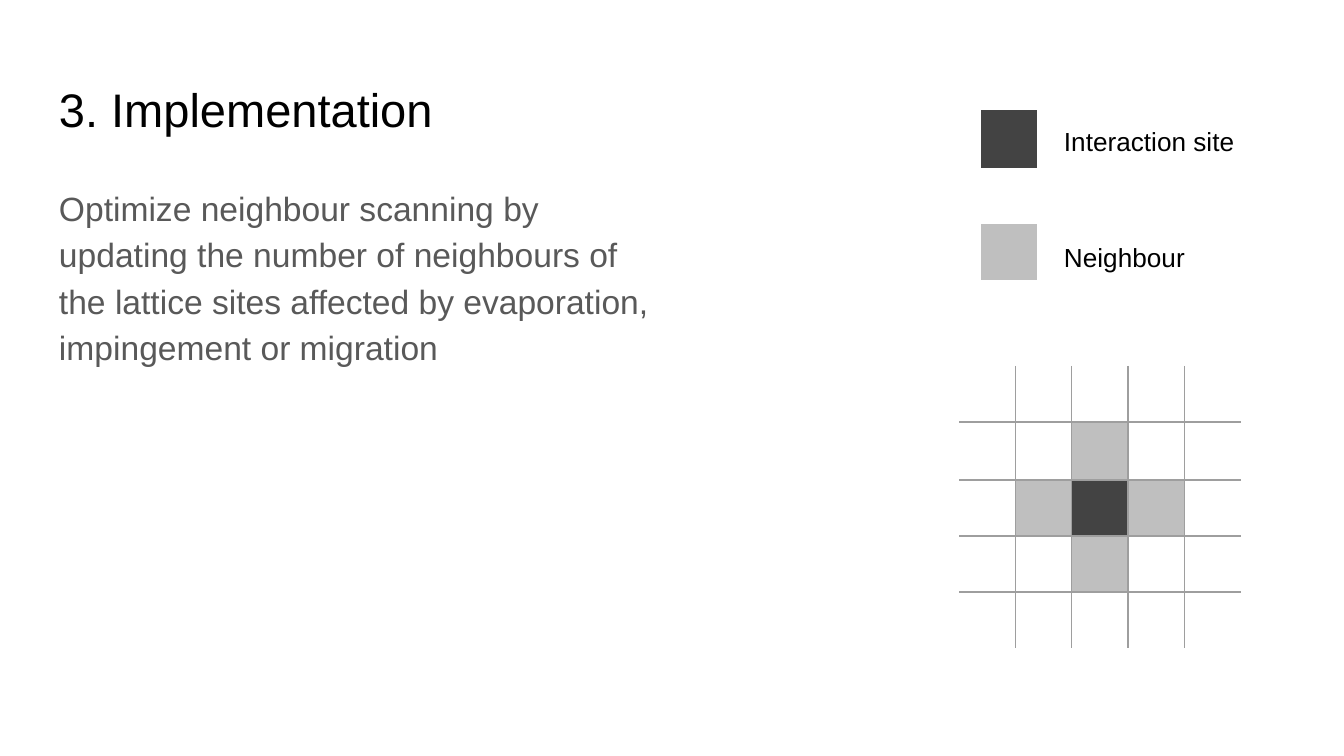
"""Build the implementation slide: text, a legend and a lattice of neighbour sites."""
import pptx
import pptx.dml.color
import pptx.enum.text
import pptx.oxml
import pptx.oxml.ns
import pptx.util

SCALE = 914400 / 134.4
SITE, NEIGHBOUR, LINE = "434343", "BFBFBF", "9E9E9E"
ROWS = [56, 58, 56, 56, 56]
ANCHOR = pptx.enum.text.MSO_ANCHOR


def px(n):
    return pptx.util.Emu(round(n * SCALE))


def color(value):
    return pptx.dml.color.RGBColor.from_string(value)


def set_text(sp, box, text, size, ink, anchor=ANCHOR.TOP, **para):
    frame = dict(word_wrap=True, auto_size=pptx.enum.text.MSO_AUTO_SIZE.NONE,
                 vertical_anchor=anchor)
    for side in ("left", "top", "right", "bottom"):
        frame["margin_" + side] = px(13)
    for name, value in zip(("left", "top", "width", "height"), box):
        setattr(sp, name, px(value))
    tf = sp.text_frame
    p = tf.paragraphs[0]
    r = p.add_run()
    r.text = text
    para = dict(alignment=pptx.enum.text.PP_ALIGN.LEFT,
                space_before=pptx.util.Pt(0), **para)
    font = dict(name="Arial", size=pptx.util.Pt(size))
    for obj, values in ((tf, frame), (p, para), (r.font, font)):
        for name, value in values.items():
            setattr(obj, name, value)
    r.font.color.rgb = color(ink)
    return p


def clear_bullet(p):
    pPr = p._p.get_or_add_pPr()
    pPr.set("marL", "0")
    pPr.set("indent", "0")
    pPr.append(pptx.oxml.parse_xml(
        "<a:buNone %s/>" % pptx.oxml.ns.nsdecls("a")))


def add_label(slide, box, text):
    sp = slide.shapes.add_textbox(0, 0, 0, 0)
    set_text(sp, box, text, 14, "000000")


def set_border(cell, side, ink):
    line = '<a:solidFill><a:srgbClr val="%s"/></a:solidFill>' % ink if ink else "<a:noFill/>"
    cell._tc.get_or_add_tcPr().append(pptx.oxml.parse_xml(
        '<a:ln%s %s w="9525">%s</a:ln%s>'
        % (side, pptx.oxml.ns.nsdecls("a"), line, side)))


def add_cells(slide, x, y, width, cols, fills, ink=None):
    """Add a table with filled cells and, if ink is given, lines between the cells."""
    rows = len(ROWS)
    table = slide.shapes.add_table(
        rows, cols, px(x), px(y), px(width), px(sum(ROWS))).table
    table.first_row = table.horz_banding = False
    for col in table.columns:
        col.width = px(width / cols)
    for i, height in enumerate(ROWS):
        table.rows[i].height = px(height)
        for j in range(cols):
            cell = table.cell(i, j)
            inner = dict(L=j > 0, R=j < cols - 1, T=i > 0, B=i < rows - 1)
            for side, shown in inner.items():
                set_border(cell, side, ink if shown else None)
            if (i, j) in fills:
                cell.fill.solid()
                cell.fill.fore_color.rgb = color(fills[i, j])
            else:
                cell.fill.background()


def main():
    prs = pptx.Presentation()
    prs.slide_width, prs.slide_height = px(1344), px(756)
    slide = prs.slides.add_slide(prs.slide_layouts[1])
    title, body = slide.placeholders
    set_text(title, (46, 66, 1252, 84), "3. Implementation", 25.2, "000000",
             anchor=ANCHOR.BOTTOM)
    p = set_text(body, (46, 169, 626, 503),
                 "Optimize neighbour scanning by updating the number of neighbours of "
                 "the lattice sites affected by evaporation, impingement or migration",
                 18, "595959", line_spacing=1.15, space_after=pptx.util.Pt(12))
    clear_bullet(p)

    lattice = {(2, 2): SITE}
    for di, dj in ((-1, 0), (0, -1), (0, 1), (1, 0)):
        lattice[2 + di, 2 + dj] = NEIGHBOUR
    add_cells(slide, 959, 366, 282, 5, lattice, LINE)
    add_cells(slide, 981, 54, 56, 1, {(1, 0): SITE, (3, 0): NEIGHBOUR})
    for y, text in ((112, "Interaction site"), (228, "Neighbour")):
        add_label(slide, (1051, y, 211, 59), text)
    prs.save("out.pptx")


if __name__ == "__main__":
    main()
